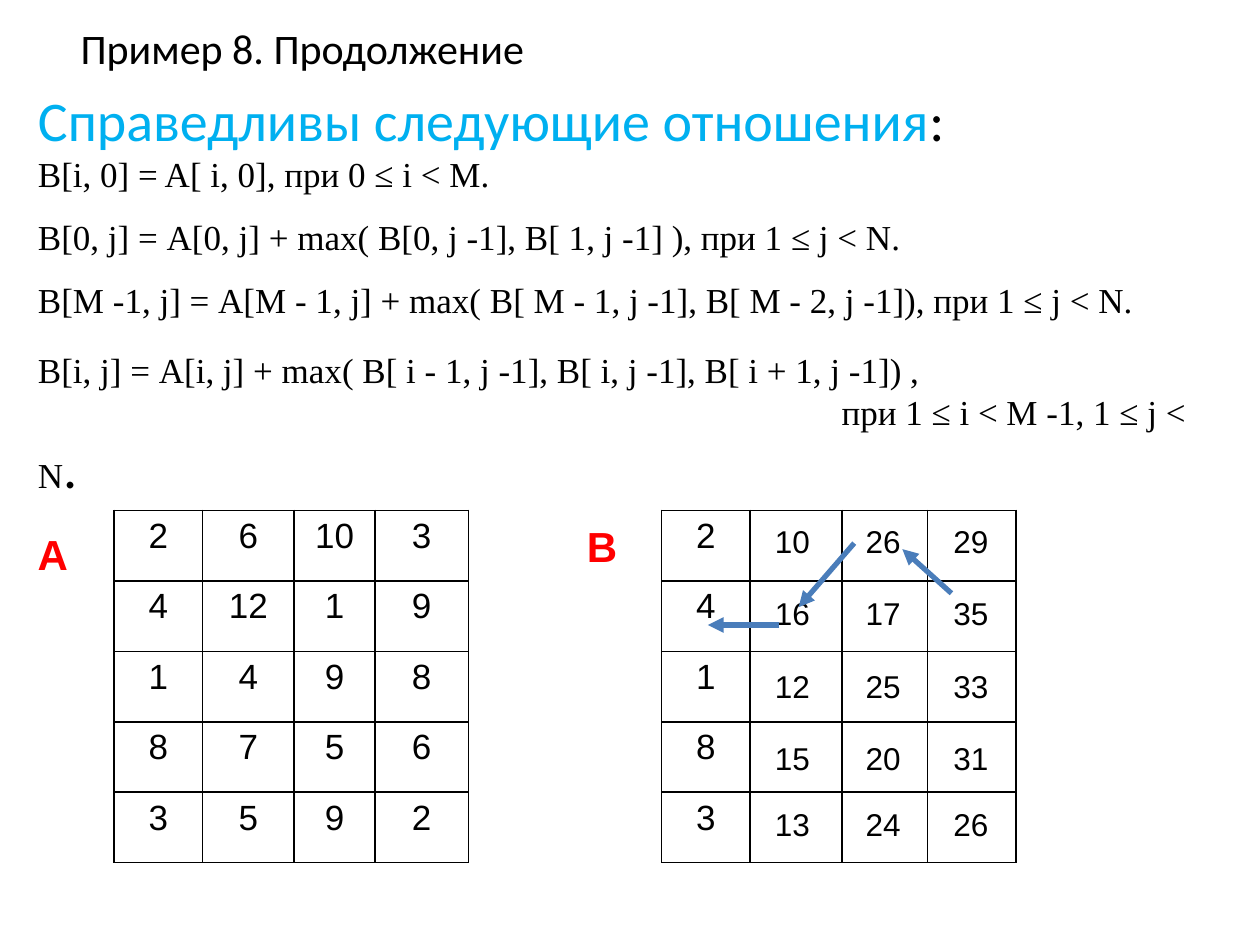
from dataclasses import dataclass

from lxml import etree
from pptx import Presentation
from pptx import util as u
from pptx.dml.color import RGBColor
from pptx.enum import shapes, text
from pptx.oxml import ns


@dataclass(frozen=True)
class Theme:
    black: str = "000000"
    blue: str = "00B0F0"
    red: str = "FF0000"
    arrow: str = "4A7DBA"
    heading_font: str = "Calibri"
    formula_font: str = "Times New Roman"
    number_font: str = "Arial"
    heading: int = 32
    title: int = 24
    body: int = 20
    value: int = 18


THEME = Theme()
ROW_HEIGHT = 1.42
TABLE_TOP = 10.29
VALUE_TOPS = (10.4, 11.86, 13.33, 14.77, 16.1)
MATRIX_A = [
    (2, 6, 10, 3),
    (4, 12, 1, 9),
    (1, 4, 9, 8),
    (8, 7, 5, 6),
    (3, 5, 9, 2),
]
MATRIX_B = [(row[0], "", "", "") for row in MATRIX_A]
VALUE_COLUMNS = {
    15.37: (10, 16, 12, 15, 13),
    17.2: (26, 17, 25, 20, 24),
    18.97: (29, 35, 33, 31, 26),
}
FORMULAS = [
    ("B[i, 0] = A[ i, 0], при 0 ≤ i < M.", 0),
    ("B[0, j] = А[0, j] + max( B[0, j -1], B[ 1, j -1] ), при 1 ≤ j < N.", 12),
    ("B[M -1, j] = А[М - 1, j] + max( B[ М - 1, j -1], B[ М - 2, j -1]), при 1 ≤ j < N.", 12),
    ("B[i, j] = А[i, j] + max( B[ i - 1, j -1], B[ i, j -1], B[ i + 1, j -1]) ,", 16),
]
ARROWS = [
    (19.18, 11.96, 18.19, 11.07),
    (17.22, 10.95, 16.1, 12.24),
    (15.7, 12.6, 14.27, 12.6),
]


def add_run(paragraph, content, *, font, size, color=THEME.black, bold=False):
    run = paragraph.add_run()
    run.text = str(content)
    run.font.name = font
    run.font.size = u.Pt(size)
    run.font.bold = bold
    run.font.color.rgb = RGBColor.from_string(color)


def place(shape, left, top, width, height):
    shape.left, shape.top = u.Cm(left), u.Cm(top)
    shape.width, shape.height = u.Cm(width), u.Cm(height)


def fill_title(shape):
    place(shape, 1.37, 0.33, 22.86, 1.27)
    frame = shape.text_frame
    frame.auto_size = text.MSO_AUTO_SIZE.NONE
    frame.vertical_anchor = text.MSO_ANCHOR.MIDDLE
    paragraph = frame.paragraphs[0]
    paragraph.alignment = text.PP_ALIGN.LEFT
    add_run(paragraph, "Пример 8. Продолжение", font=THEME.heading_font, size=THEME.title)


def plain_paragraph(frame, *, first=False, space_before=0, indent=0):
    paragraph = frame.paragraphs[0] if first else frame.add_paragraph()
    paragraph.space_before = u.Pt(space_before)
    properties = paragraph._p.get_or_add_pPr()
    properties.set("marL", "0")
    properties.set("indent", str(u.Cm(indent)))
    etree.SubElement(properties, ns.qn("a:buNone"))
    return paragraph


def fill_body(shape):
    place(shape, 0.51, 1.6, 24, 7.92)
    frame = shape.text_frame
    frame.auto_size = text.MSO_AUTO_SIZE.NONE
    heading = plain_paragraph(frame, first=True)
    add_run(heading, "Справедливы следующие отношения", font=THEME.heading_font,
            size=THEME.heading, color=THEME.blue)
    add_run(heading, ":", font=THEME.heading_font, size=THEME.heading)
    for formula, space in FORMULAS:
        paragraph = plain_paragraph(frame, space_before=space)
        add_run(paragraph, formula, font=THEME.formula_font, size=THEME.body)
    condition = plain_paragraph(frame, indent=16.2)
    add_run(condition, "при 1 ≤ i < M -1, 1 ≤ j < N", font=THEME.formula_font, size=THEME.body)
    add_run(condition, ".", font=THEME.heading_font, size=THEME.heading)


def add_borders(cell):
    properties = cell._tc.get_or_add_tcPr()
    for position, side in enumerate(("lnL", "lnR", "lnT", "lnB")):
        line = etree.Element(ns.qn(f"a:{side}"), w=str(u.Pt(1)))
        fill = etree.SubElement(line, ns.qn("a:solidFill"))
        etree.SubElement(fill, ns.qn("a:srgbClr"), val=THEME.black)
        properties.insert(position, line)


def add_matrix(slide, rows, left, widths):
    frame = slide.shapes.add_table(
        len(rows), len(widths), u.Cm(left), u.Cm(TABLE_TOP),
        u.Cm(sum(widths)), u.Cm(ROW_HEIGHT * len(rows)))
    table = frame.table
    table.first_row = table.horz_banding = False
    for column, width in zip(table.columns, widths):
        column.width = u.Cm(width)
    for table_row, values in zip(table.rows, rows):
        table_row.height = u.Cm(ROW_HEIGHT)
        for cell, value in zip(table_row.cells, values):
            cell.fill.background()
            add_borders(cell)
            if value != "":
                paragraph = cell.text_frame.paragraphs[0]
                paragraph.alignment = text.PP_ALIGN.CENTER
                add_run(paragraph, value, font=THEME.number_font, size=THEME.body)


def add_label(slide, content, left, top, width, height, **style):
    box = slide.shapes.add_textbox(u.Cm(left), u.Cm(top), u.Cm(width), u.Cm(height))
    box.text_frame.auto_size = text.MSO_AUTO_SIZE.SHAPE_TO_FIT_TEXT
    box.text_frame.word_wrap = True
    add_run(box.text_frame.paragraphs[0], content, font=THEME.number_font, **style)


def add_arrow(slide, *points):
    connector = slide.shapes.add_connector(
        shapes.MSO_CONNECTOR.STRAIGHT, *(u.Cm(point) for point in points))
    connector.line.color.rgb = RGBColor.from_string(THEME.arrow)
    connector.line.width = u.Pt(3)
    etree.SubElement(connector.line._get_or_add_ln(), ns.qn("a:tailEnd"), type="triangle")
    etree.SubElement(connector._element.spPr, ns.qn("a:effectLst"))


def main():
    presentation = Presentation()
    presentation.slide_width, presentation.slide_height = u.Cm(25.4), u.Cm(19.05)
    slide = presentation.slides.add_slide(presentation.slide_layouts[1])
    fill_title(slide.shapes.title)
    fill_body(slide.placeholders[1])
    add_matrix(slide, MATRIX_A, 2.3, (1.78, 1.85, 1.63, 1.88))
    add_matrix(slide, MATRIX_B, 13.34, (1.78, 1.85, 1.73, 1.78))
    for name, left, top in (("A", 0.51, 10.52), ("B", 11.58, 10.36)):
        add_label(slide, name, left, top, 1.2, 1.27,
                  size=THEME.title, color=THEME.red, bold=True)
    for left, values in VALUE_COLUMNS.items():
        for top, value in zip(VALUE_TOPS, values):
            add_label(slide, value, left, top, 1.4, 1.02, size=THEME.value)
    for points in ARROWS:
        add_arrow(slide, *points)
    presentation.save("out.pptx")


if __name__ == "__main__":
    main()
